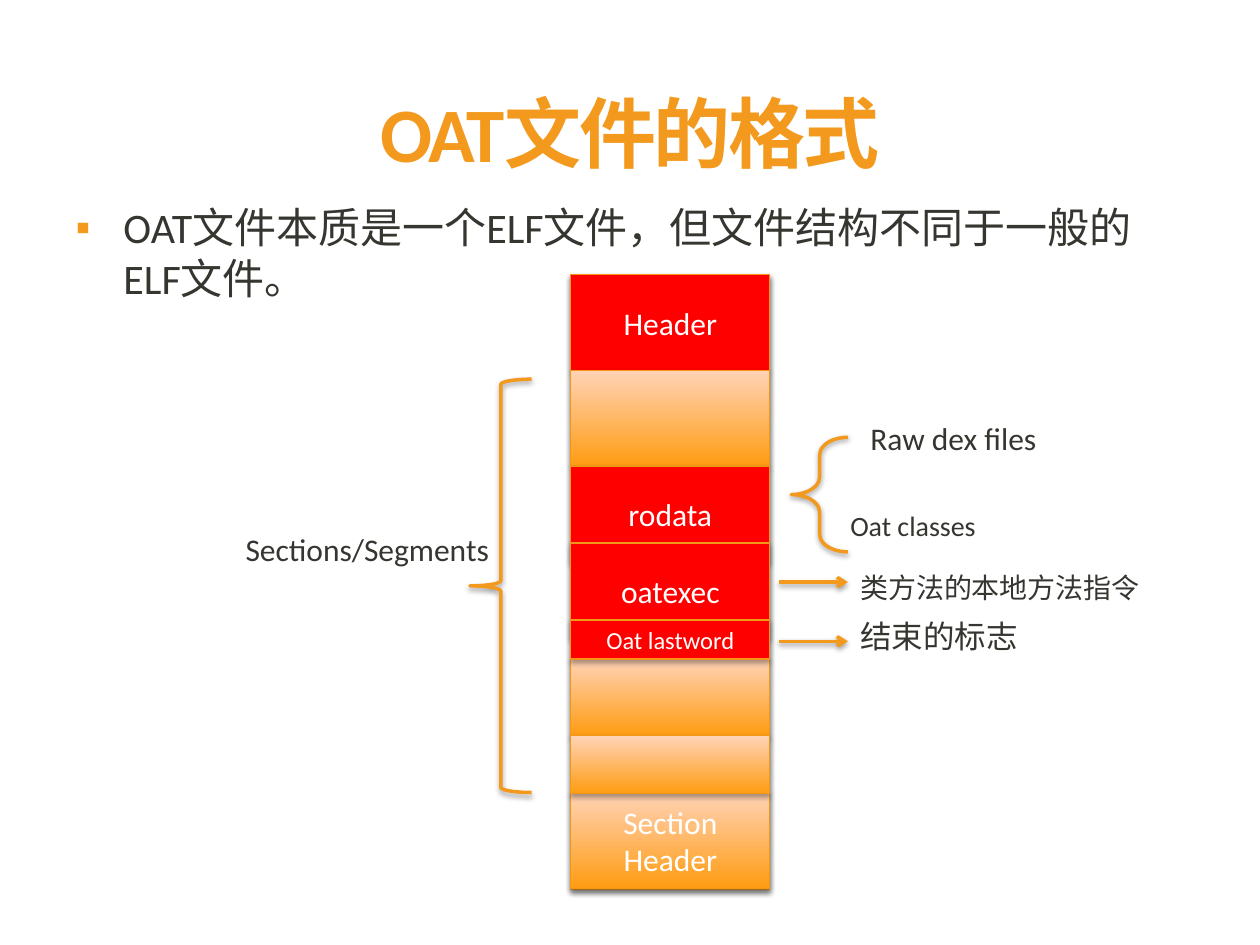
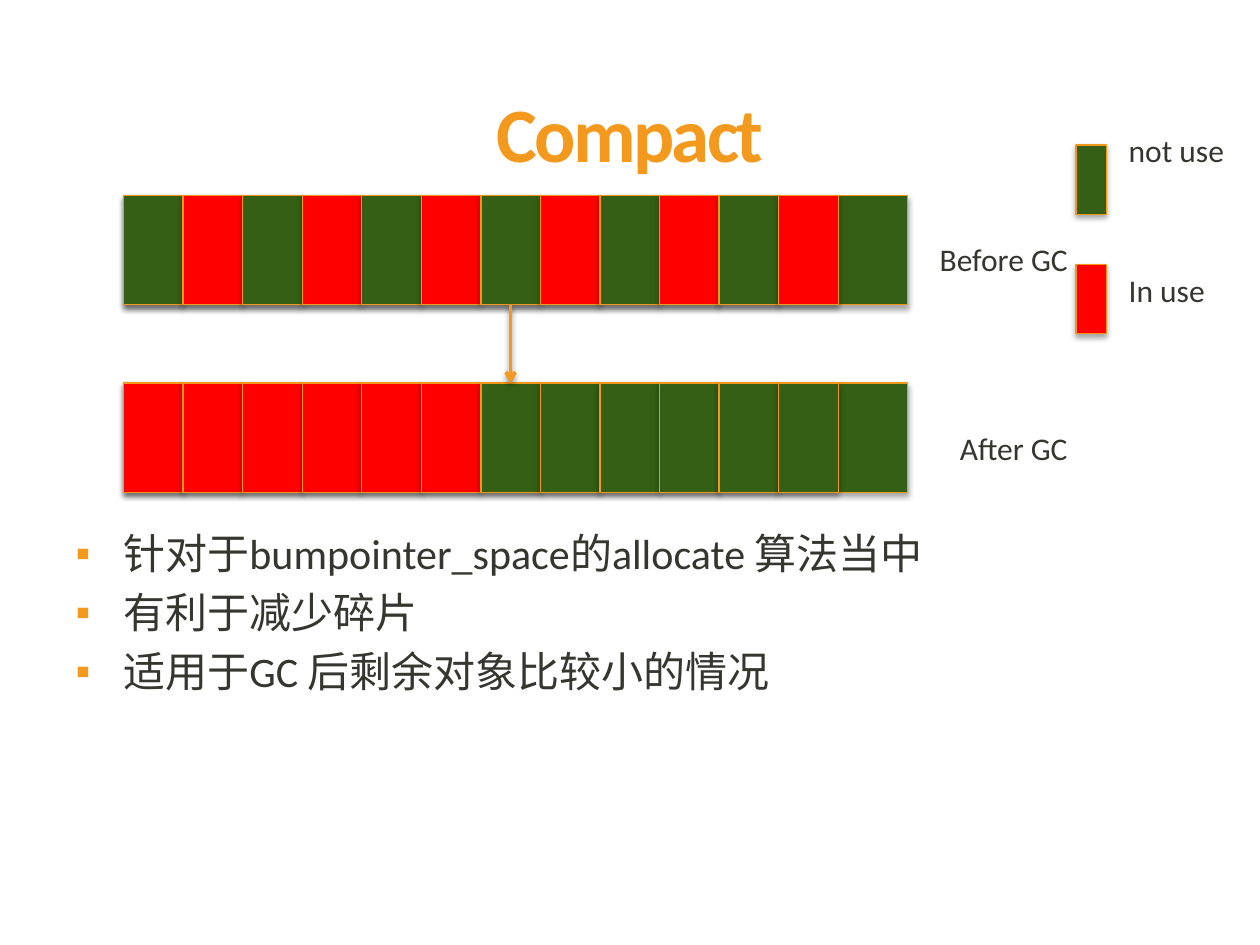
from lxml.etree import SubElement
from pptx import Presentation
from pptx.dml.color import RGBColor
from pptx.enum.shapes import MSO_CONNECTOR, MSO_SHAPE
from pptx.enum.text import MSO_ANCHOR, MSO_AUTO_SIZE, PP_ALIGN
from pptx.oxml.ns import qn
from pptx.util import Inches, Pt

# Shared look
FONT = "Calibri"
ORANGE = "F39A1E"
BORDER = "F39718"
TEXT = "353630"
WHITE = "FFFFFF"
RED = "FF0000"
GREEN = "345F14"
GRADIENT = ("FF9C12", "FFD3B7")  # bottom, top

# Memory bars
BAR_LEFT, BAR_WIDTH, BAR_HEIGHT = 0.98, 6.22, 0.87
CELL_COUNT = 12
CELL_WIDTH = 5.2 / 11


def color(value):
    return RGBColor.from_string(value)


def set_font(para, size, value, bold=False):
    para.font.name = FONT
    para.font.size = Pt(size)
    para.font.bold = bold
    para.font.color.rgb = color(value)


def place(shape, left, top, width, height):
    shape.left, shape.top = Inches(left), Inches(top)
    shape.width, shape.height = Inches(width), Inches(height)


def add_shadow(shape, opacity, distance):
    """Soft shadow straight below; call it once the line is set."""
    effects = SubElement(shape._element.spPr, qn("a:effectLst"))
    shadow = SubElement(effects, qn("a:outerShdw"), blurRad="40000",
                        dist=str(Pt(distance)), dir="5400000", rotWithShape="0")
    black = SubElement(shadow, qn("a:srgbClr"), val="000000")
    SubElement(black, qn("a:alpha"), val=str(opacity * 1000))


def style_stroke(shape):
    shape.line.color.rgb = color(ORANGE)
    shape.line.width = Pt(2)
    add_shadow(shape, 38, 1.6)


def add_page(deck, title, bullets, body_top, body_height):
    page = deck.slides.add_slide(deck.slide_layouts[1])
    heading, body = page.shapes.title, page.placeholders[1]

    place(heading, 0.5, 0.67, 9, 0.88)
    heading.text_frame.text = title
    heading.text_frame.vertical_anchor = MSO_ANCHOR.MIDDLE
    para = heading.text_frame.paragraphs[0]
    para.alignment = PP_ALIGN.CENTER
    para.line_spacing = 0.8
    set_font(para, 44, ORANGE, bold=True)
    para.runs[0]._r.get_or_add_rPr().set("spc", "-150")

    place(body, 0.5, body_top, 9, body_height)
    body.text_frame.text = "\n".join(bullets)
    body.text_frame.auto_size = MSO_AUTO_SIZE.NONE
    for para in body.text_frame.paragraphs:
        add_bullet(para)
        para.space_before = Pt(4.8)
        set_font(para, 24, TEXT)
    return page


def add_bullet(para):
    properties = para._p.get_or_add_pPr()
    properties.set("marL", str(Inches(0.38)))
    properties.set("indent", str(Inches(-0.38)))
    bullet_color = SubElement(properties, qn("a:buClr"))
    SubElement(bullet_color, qn("a:srgbClr"), val=ORANGE)
    SubElement(properties, qn("a:buChar"), char="▪")


def add_block(page, left, top, width, height, fill=None, text="", size=18):
    """Bordered rectangle; without a fill colour it gets the orange gradient."""
    block = page.shapes.add_shape(MSO_SHAPE.RECTANGLE, Inches(left), Inches(top),
                                  Inches(width), Inches(height))
    if fill:
        block.fill.solid()
        block.fill.fore_color.rgb = color(fill)
    else:
        block.fill.gradient()
        block.fill.gradient_angle = 90
        for stop, value in zip(block.fill.gradient_stops, GRADIENT):
            stop.color.rgb = color(value)
        block.fill.gradient_stops[0].position = 0
        block.fill.gradient_stops[1].position = 1
    block.line.color.rgb = color(BORDER)
    block.line.width = Pt(0.75)
    add_shadow(block, 35, 1.8)
    if text:
        block.text_frame.text = text
        block.text_frame.vertical_anchor = MSO_ANCHOR.MIDDLE
        para = block.text_frame.paragraphs[0]
        para.alignment = PP_ALIGN.CENTER
        set_font(para, size, WHITE)
    return block


def add_label(page, text, left, top, width, size=18):
    box = page.shapes.add_textbox(Inches(left), Inches(top), Inches(width), Inches(0.4))
    box.text_frame.word_wrap = True
    box.text_frame.text = text
    set_font(box.text_frame.paragraphs[0], size, TEXT)


def add_brace(page, kind, left, top, width, height):
    brace = page.shapes.add_shape(kind, Inches(left), Inches(top),
                                  Inches(width), Inches(height))
    brace.fill.background()
    style_stroke(brace)
    return brace


def add_arrow(page, start=(0, 0), end=(0, 0)):
    arrow = page.shapes.add_connector(MSO_CONNECTOR.STRAIGHT,
                                      *(Inches(value) for value in (*start, *end)))
    style_stroke(arrow)
    SubElement(arrow.line._get_or_add_ln(), qn("a:tailEnd"), type="arrow")
    return arrow


def add_memory_bar(page, top, fills):
    add_block(page, BAR_LEFT, top, BAR_WIDTH, BAR_HEIGHT, GREEN)
    return [add_block(page, BAR_LEFT + index * CELL_WIDTH, top, CELL_WIDTH, BAR_HEIGHT, fill)
            for index, fill in enumerate(fills)]


def build_oat_page(deck):
    page = add_page(deck, "OAT文件的格式",
                    ["OAT文件本质是一个ELF文件，但文件结构不同于一般的ELF文件。"], 1.55, 5.05)

    # File layout column, later blocks overlap earlier ones
    sections = [
        (2.18, 4.88, None, "", 18),
        (2.18, 0.76, RED, "Header", 18),
        (6.29, 0.76, None, "Section Header", 18),
        (2.94, 0.76, None, "", 18),
        (3.7, 0.76, RED, "rodata", 18),
        (4.31, 0.76, RED, "oatexec", 18),
        (5.23, 0.61, None, "", 18),
        (5.84, 0.46, None, "", 18),
        (4.92, 0.31, RED, "Oat lastword", 14),
    ]
    for top, height, fill, text, size in sections:
        add_block(page, 4.53, top, 1.58, height, fill, text, size)

    # Braces and arrows
    add_brace(page, MSO_SHAPE.LEFT_BRACE, 3.73, 3.01, 0.49, 3.28)
    rodata_brace = add_brace(page, MSO_SHAPE.RIGHT_BRACE, 6.28, 3.47, 0.45, 0.91)
    rodata_brace.rotation = 180
    rodata_brace.adjustments[0] = 0.31
    for top in (4.62, 5.09):
        add_arrow(page, (6.18, top), (6.73, top))

    # Explanations
    add_label(page, "Sections/Segments", 1.85, 4.16, 2.28)
    add_label(page, "Raw dex files", 6.81, 3.28, 1.57)
    add_label(page, "Oat classes", 6.65, 3.99, 1.77, 16)
    add_label(page, "类方法的本地方法指令", 6.73, 4.48, 2.6, 16)
    add_label(page, "结束的标志", 6.73, 4.85, 1.93)


def build_compact_page(deck):
    page = add_page(deck, "Compact",
                    ["针对于bumpointer_space的allocate 算法当中",
                     "有利于减少碎片",
                     "适用于GC 后剩余对象比较小的情况"], 4.14, 2.45)

    # Memory before and after collection
    half = CELL_COUNT // 2
    before = add_memory_bar(page, 1.55, [GREEN, RED] * half)
    after = add_memory_bar(page, 3.04, [RED] * half + [GREEN] * half)
    add_label(page, "Before GC", 7.36, 1.86, 1.26)
    add_label(page, "After GC", 7.52, 3.36, 1.26)
    arrow = add_arrow(page)
    arrow.begin_connect(before[half], 2)
    arrow.end_connect(after[half], 0)

    # Legend
    for text, fill, key_top, label_top in (("not use", GREEN, 1.15, 0.99),
                                           ("In use", RED, 2.1, 2.1)):
        add_block(page, 8.54, key_top, 0.24, 0.55, fill)
        add_label(page, text, 8.86, label_top, 1.14)


def main():
    deck = Presentation()
    deck.slide_width, deck.slide_height = Inches(10), Inches(7.5)
    build_oat_page(deck)
    build_compact_page(deck)
    deck.save("out.pptx")


if __name__ == "__main__":
    main()
